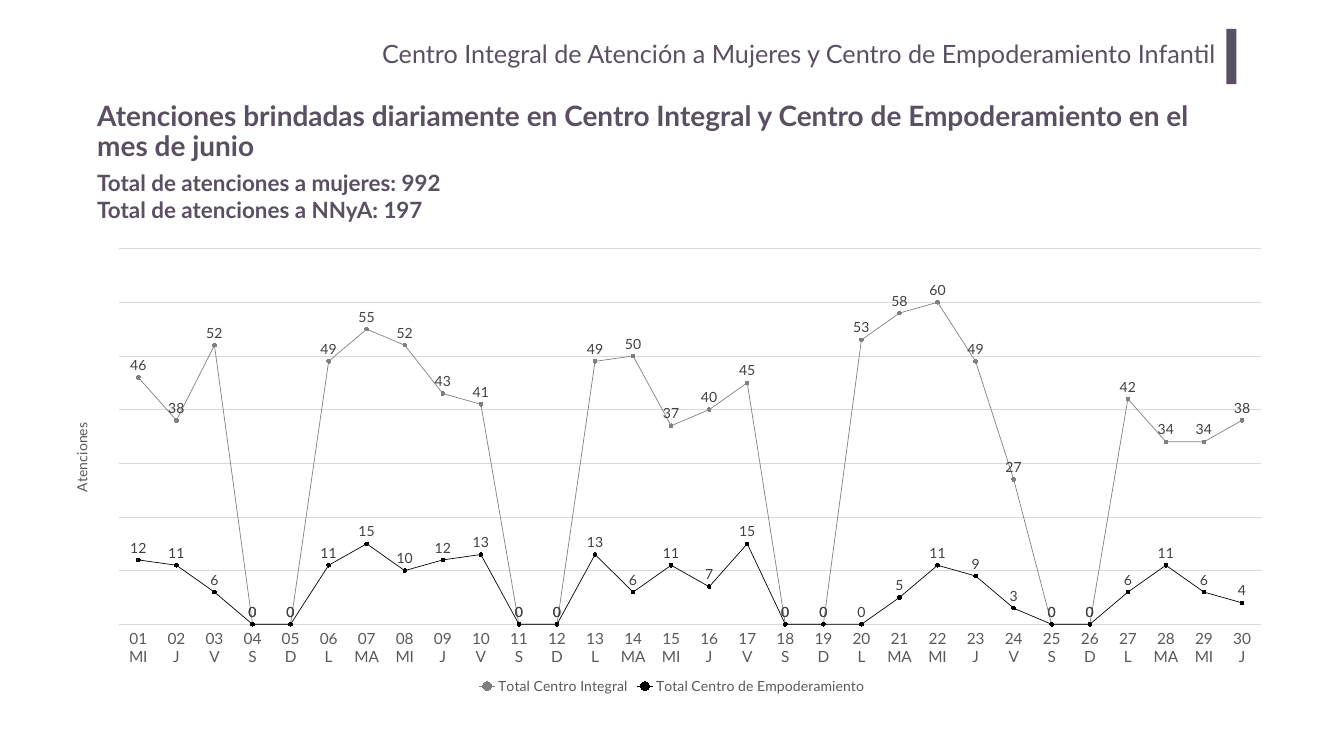
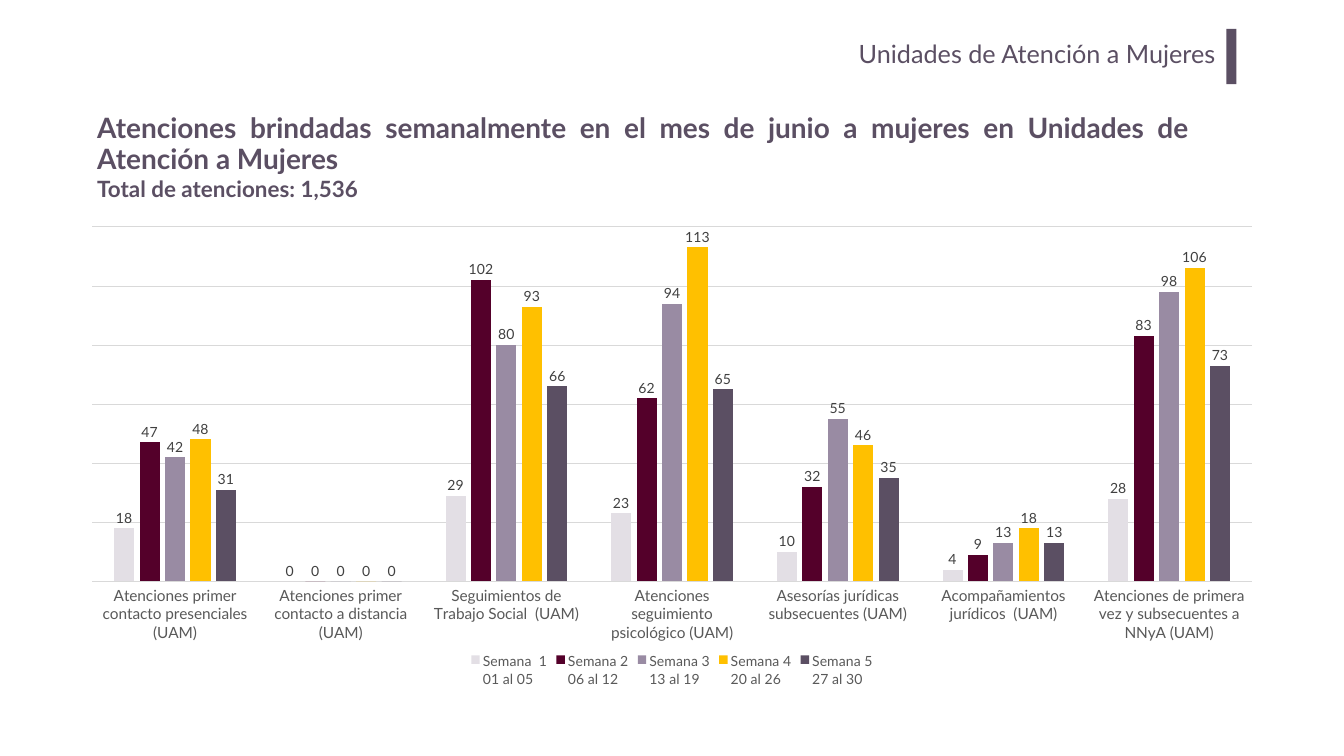
from lxml import etree
from pptx import Presentation
from pptx.chart.data import CategoryChartData
from pptx.dml.color import RGBColor
from pptx.enum.chart import XL_CHART_TYPE, XL_LABEL_POSITION, XL_LEGEND_POSITION, XL_MARKER_STYLE, XL_TICK_LABEL_POSITION, XL_TICK_MARK
from pptx.enum.shapes import MSO_SHAPE
from pptx.enum.text import MSO_ANCHOR, MSO_AUTO_SIZE, PP_ALIGN
from pptx.oxml.ns import qn
from pptx.util import Cm, Pt

LINE = XL_CHART_TYPE.LINE_MARKERS
COLUMN = XL_CHART_TYPE.COLUMN_CLUSTERED
ABOVE = XL_LABEL_POSITION.ABOVE
OUTSIDE = XL_LABEL_POSITION.OUTSIDE_END
BOTTOM = XL_LEGEND_POSITION.BOTTOM
CIRCLE = XL_MARKER_STYLE.CIRCLE
NO_TICK = XL_TICK_MARK.NONE
LOW = XL_TICK_LABEL_POSITION.LOW
RECT = MSO_SHAPE.RECTANGLE
TOP, MIDDLE = MSO_ANCHOR.TOP, MSO_ANCHOR.MIDDLE
FIXED = MSO_AUTO_SIZE.NONE
LEFT, RIGHT, JUSTIFY = PP_ALIGN.LEFT, PP_ALIGN.RIGHT, PP_ALIGN.JUSTIFY

FONT = "Lato"
COLORS = {
    "plum": "5B4F63", "lilac": "998BA3", "pale": "E3DFE5", "wine": "54002A",
    "gold": "FFC000", "gray": "808080", "black": "000000",
    "axis": "595959", "label": "404040", "grid": "D9D9D9",
}
MARGIN = 4.65
DAYS = ["MI", "J", "V", "S", "D", "L", "MA"]

SLIDES = [
    {
        "section": "Centro Integral de Atención a Mujeres y Centro de Empoderamiento Infantil",
        "title": "Atenciones brindadas diariamente en Centro Integral y Centro de Empoderamiento en el mes de junio",
        "title_top": 4.85,
        "totals": ["Total de atenciones a mujeres: 992", "Total de atenciones a NNyA: 197"],
        "totals_box": (MARGIN, 8.38, 20.62, 3),
        "type": LINE,
        "chart_box": (2.92, 12.07, 61.87, 23.09),
        "plot": (0.05, 0.02, 0.93, 0.82),
        "scale": (70, 10),
        "axis_title": "Atenciones",
        "categories": [f"{day:02}\n{DAYS[(day - 1) % 7]}" for day in range(1, 31)],
        "series": [
            ("Total Centro Integral", "gray",
             [46, 38, 52, 0, 0, 49, 55, 52, 43, 41, 0, 0, 49, 50, 37,
              40, 45, 0, 0, 53, 58, 60, 49, 27, 0, 0, 42, 34, 34, 38]),
            ("Total Centro de Empoderamiento", "black",
             [12, 11, 6, 0, 0, 11, 15, 10, 12, 13, 0, 0, 13, 6, 11,
              7, 15, 0, 0, 0, 5, 11, 9, 3, 0, 0, 6, 11, 6, 4]),
        ],
    },
    {
        "section": "Unidades de Atención a Mujeres",
        "title": "Atenciones brindadas semanalmente en el mes de junio a mujeres en Unidades de Atención a Mujeres",
        "title_top": 5.46,
        "totals": ["Total de atenciones: 1,536"],
        "totals_box": (MARGIN, 8.71, 14.33, 1.63),
        "type": COLUMN,
        "chart_box": (3.43, 10.95, 60.88, 23.83),
        "plot": (0.02, 0.02, 0.96, 0.75),
        "scale": (120, 20),
        "axis_title": None,
        "categories": [
            "Atenciones primer contacto presenciales (UAM)",
            "Atenciones primer contacto a distancia (UAM)",
            "Seguimientos de Trabajo Social  (UAM)",
            "Atenciones seguimiento psicológico (UAM)",
            "Asesorías jurídicas subsecuentes (UAM)",
            "Acompañamientos jurídicos  (UAM)",
            "Atenciones de primera vez y subsecuentes a NNyA (UAM)",
        ],
        "series": [
            ("Semana  1\n01 al 05", "pale", [18, 0, 29, 23, 10, 4, 28]),
            ("Semana 2\n06 al 12", "wine", [47, 0, 102, 62, 32, 9, 83]),
            ("Semana 3\n13 al 19", "lilac", [42, 0, 80, 94, 55, 13, 98]),
            ("Semana 4\n20 al 26", "gold", [48, 0, 93, 113, 46, 18, 106]),
            ("Semana 5\n27 al 30", "plum", [31, 0, 66, 65, 35, 13, 73]),
        ],
    },
]


def rgb(name):
    return RGBColor.from_string(COLORS[name])


def set_font(font, size, color, bold=False):
    font.name, font.size, font.bold = FONT, Pt(size), bold
    font.color.rgb = rgb(color)


def paint(fill, color):
    fill.solid()
    fill.fore_color.rgb = rgb(color)


def place(sp, box):
    sp.left, sp.top, sp.width, sp.height = map(Cm, box)


def write(sp, lines, size, bold, align, anchor=TOP, inset=0.25, spacing=1):
    tf = sp.text_frame
    tf.text = "\n".join(lines)
    tf.word_wrap, tf.auto_size, tf.vertical_anchor = True, FIXED, anchor
    tf.margin_left = tf.margin_right = Cm(inset)
    tf.margin_top = tf.margin_bottom = Cm(inset / 2)
    for p in tf.paragraphs:
        p.alignment, p.line_spacing = align, spacing
        for r in p.runs:
            set_font(r.font, size, "plum", bold)


def add_text(s, box, *args, **kwargs):
    write(s.shapes.add_textbox(*map(Cm, box)), *args, **kwargs)


def add_header(s, section):
    add_text(s, (10.19, 1.7, 51.56, 2.59), [section], 36, False, RIGHT, inset=0.5)
    bar = s.shapes.add_shape(RECT, Cm(61.8), Cm(1.45), Cm(0.51), Cm(2.79))
    bar.shadow.inherit = False
    paint(bar.fill, "plum")
    bar.line.fill.background()


def set_plot_layout(chart, fractions):
    area = chart.element.find(".//" + qn("c:plotArea"))
    for old in area.findall(qn("c:layout")):
        area.remove(old)
    layout = etree.Element(qn("c:layout"))
    area.insert(0, layout)
    manual = etree.SubElement(layout, qn("c:manualLayout"))
    settings = [("layoutTarget", "inner"), ("xMode", "edge"), ("yMode", "edge")]
    for tag, value in settings + list(zip("xywh", fractions)):
        etree.SubElement(manual, qn("c:" + tag)).set("val", str(value))


def format_axes(chart, spec_scale, axis_title):
    cat, val = chart.category_axis, chart.value_axis
    cat.major_tick_mark = cat.minor_tick_mark = NO_TICK
    cat.tick_label_position = LOW
    set_font(cat.tick_labels.font, 22, "axis")
    val.minimum_scale = 0
    val.maximum_scale, val.major_unit = spec_scale
    val.has_major_gridlines = True
    for line in (cat.format.line, val.major_gridlines.format.line):
        line.color.rgb, line.width = rgb("grid"), Pt(0.75)
    val.visible = False
    if axis_title:
        tf = val.axis_title.text_frame
        tf.text = axis_title
        tf._txBody.bodyPr.set("rot", "-5400000")
        set_font(tf.paragraphs[0].runs[0].font, 20, "axis")


def format_series(ser, color, is_line):
    if is_line:
        ser.smooth = False
        ser.format.line.color.rgb, ser.format.line.width = rgb(color), Pt(1)
        ser.marker.style, ser.marker.size = CIRCLE, 5
        paint(ser.marker.format.fill, color)
        ser.marker.format.line.color.rgb = rgb(color)
    else:
        ser.invert_if_negative = False
        paint(ser.format.fill, color)
    labels = ser.data_labels
    labels.show_value = True
    labels.position = ABOVE if is_line else OUTSIDE
    set_font(labels.font, 20, "label")


def add_chart(s, item):
    data = CategoryChartData()
    data.categories = item["categories"]
    for name, _, values in item["series"]:
        data.add_series(name, values)
    chart = s.shapes.add_chart(item["type"], *map(Cm, item["chart_box"]), data).chart
    chart.has_title = False
    chart.font.name, chart.font.size = "Arial", Pt(10)
    chart.has_legend = True
    chart.legend.position, chart.legend.include_in_layout = BOTTOM, False
    set_font(chart.legend.font, 20, "axis")
    format_axes(chart, item["scale"], item["axis_title"])
    set_plot_layout(chart, item["plot"])
    plot = chart.plots[0]
    plot.vary_by_categories = False
    is_line = item["type"] == LINE
    if not is_line:
        plot.gap_width, plot.overlap = 219, -27
    for ser, (_, color, _) in zip(plot.series, item["series"]):
        format_series(ser, color, is_line)


def main():
    prs = Presentation()
    prs.slide_width, prs.slide_height = Cm(67.73), Cm(38.1)
    for item in SLIDES:
        s = prs.slides.add_slide(prs.slide_layouts[5])
        add_header(s, item["section"])
        title = s.shapes.title
        place(title, (MARGIN, item["title_top"], 55.5, 3.68))
        write(title, [item["title"]], 40, True, JUSTIFY, MIDDLE, spacing=0.9)
        add_text(s, item["totals_box"], item["totals"], 32, True, LEFT)
        add_chart(s, item)
    prs.save("out.pptx")


if __name__ == "__main__":
    main()
